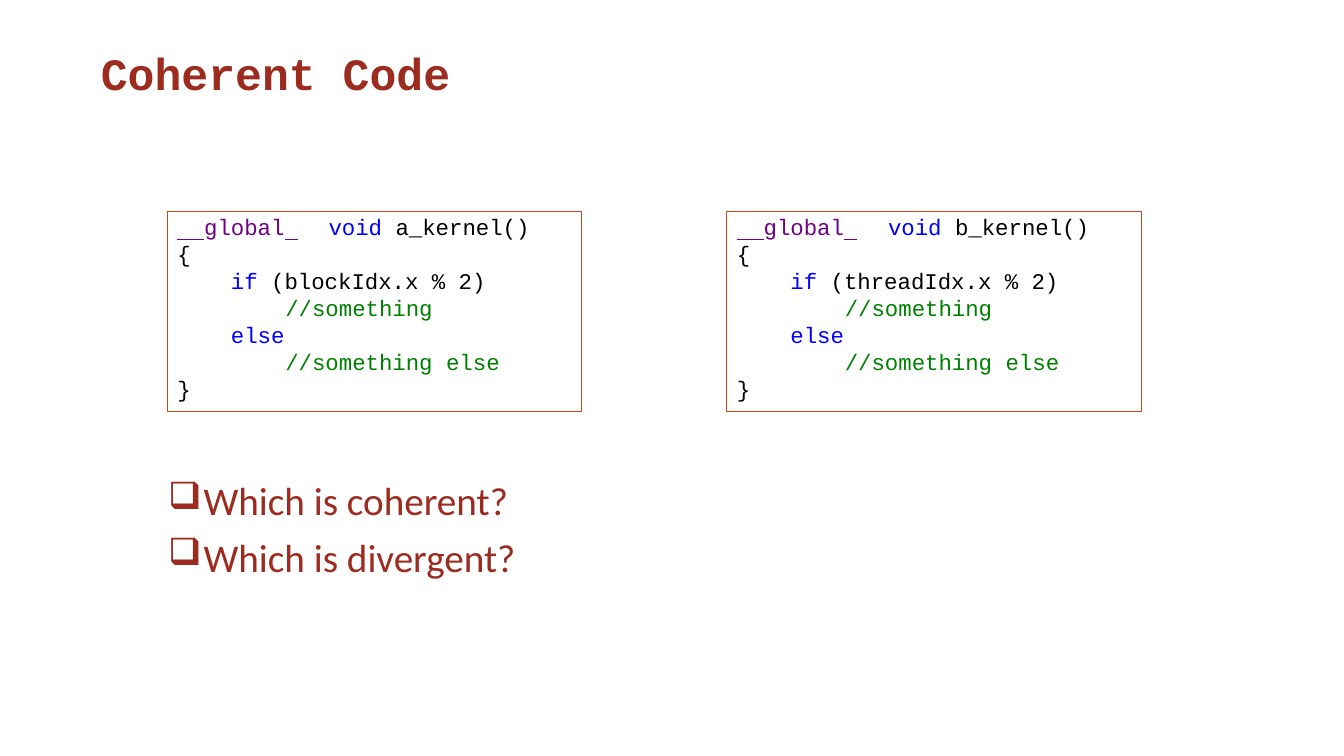
"""Build the Coherent Code slide: two kernels side by side and two questions."""
from pptx import Presentation
from pptx.dml.color import RGBColor as RGB
from pptx.enum.shapes import MSO_SHAPE as SHAPE
from pptx.enum.text import MSO_ANCHOR as ANCHOR, PP_ALIGN as ALIGN
from pptx.oxml.ns import qn
from pptx.util import Cm, Pt
from lxml.etree import SubElement as Sub

HUES = {"head": "9B2C1F", "edge": "D24717", "fill": "FFFFFF", "mark": "6E0089",
        "key": "0000FF", "note": "008000", "code": "000000"}
TITLE = "Coherent Code"
ASKS = ["Which is coherent?", "Which is divergent?"]
KERNELS = [("a_kernel()", "(blockIdx.x % 2)"), ("b_kernel()", "(threadIdx.x % 2)")]
LEFT, TOP, WIDE, HIGH, STEP = 4.22, 5.33, 10.44, 5.03, 14.1
TAB, DEEP = 3.96, (0.25, 1.6, 2.97)


def lines(name, test):
    return [
        (0, [("  ", "mark", True), ("global", "mark", False), (" ", "mark", True),
             ("\t", "mark", False), ("void ", "key", False), (name, "code", False)]),
        (0, [("{", "code", False)]),
        (1, [("if ", "key", False), (test, "code", False)]),
        (2, [("//something", "note", False)]),
        (1, [("else", "key", False)]),
        (2, [("//something else", "note", False)]),
        (0, [("}", "code", False)]),
    ]


def hue(key):
    return RGB.from_string(HUES[key])


def setup(shape, top):
    frame = shape.text_frame
    frame.word_wrap = True
    frame.vertical_anchor = ANCHOR.TOP
    frame.margin_left = frame.margin_right = frame.margin_bottom = 0
    frame.margin_top = Cm(top)
    return frame


def para(frame, num):
    par = frame.paragraphs[0] if num == 0 else frame.add_paragraph()
    par.alignment = ALIGN.LEFT
    return par


def style(par, face, size, key=None, bold=False):
    par.font.name, par.font.size, par.font.bold = face, Pt(size), bold
    if key:
        par.font.color.rgb = hue(key)


def indent(par, left, hang=0.0):
    props = par._p.get_or_add_pPr()
    props.set("marL", str(Cm(left)))
    props.set("indent", str(Cm(hang)))
    return props


def add_tab(props, pos):
    tabs = Sub(props, qn("a:tabLst"))
    Sub(tabs, qn("a:tab"), pos=str(Cm(pos)), algn="l")


def add_code(slide, num, name, test):
    box = slide.shapes.add_shape(SHAPE.RECTANGLE, Cm(LEFT + num * STEP), Cm(TOP),
                                 Cm(WIDE), Cm(HIGH))
    box.shadow.inherit = False
    box.fill.solid()
    box.fill.fore_color.rgb = hue("fill")
    box.line.color.rgb = hue("edge")
    box.line.width = Pt(0.72)
    frame = setup(box, 0.05)
    for row, (level, parts) in enumerate(lines(name, test)):
        par = para(frame, row)
        props = indent(par, DEEP[level])
        if row == 0:
            add_tab(props, TAB)
        style(par, "Courier New", 16)
        for text, key, under in parts:
            run = par.add_run()
            run.text = text
            run.font.color.rgb = hue(key)
            run.font.underline = under


def add_asks(slide):
    box = slide.shapes.add_textbox(Cm(LEFT), Cm(11.73), Cm(8.84), Cm(2.92))
    frame = setup(box, 0.28)
    for row, text in enumerate(ASKS):
        par = para(frame, row)
        par.text = text
        if row:
            par.space_before = Pt(6.8)
        props = indent(par, 0.91, -0.89)
        Sub(props, qn("a:buSzPct"), val="96000")
        Sub(props, qn("a:buChar"), char="❑")
        add_tab(props, 0.91)
        style(par, "Calibri", 28, "head")


def main():
    deck = Presentation()
    deck.slide_width, deck.slide_height = Cm(33.87), Cm(19.05)
    slide = deck.slides.add_slide(deck.slide_layouts[5])
    title = slide.shapes.title
    title.left, title.top, title.width, title.height = Cm(2.54), Cm(1.12), Cm(9.2), Cm(1.42)
    par = para(setup(title, 0.03), 0)
    par.text = TITLE
    style(par, "Courier New", 32, "head", True)
    add_asks(slide)
    for num, (name, test) in enumerate(KERNELS):
        add_code(slide, num, name, test)
    deck.save("out.pptx")


if __name__ == "__main__":
    main()
